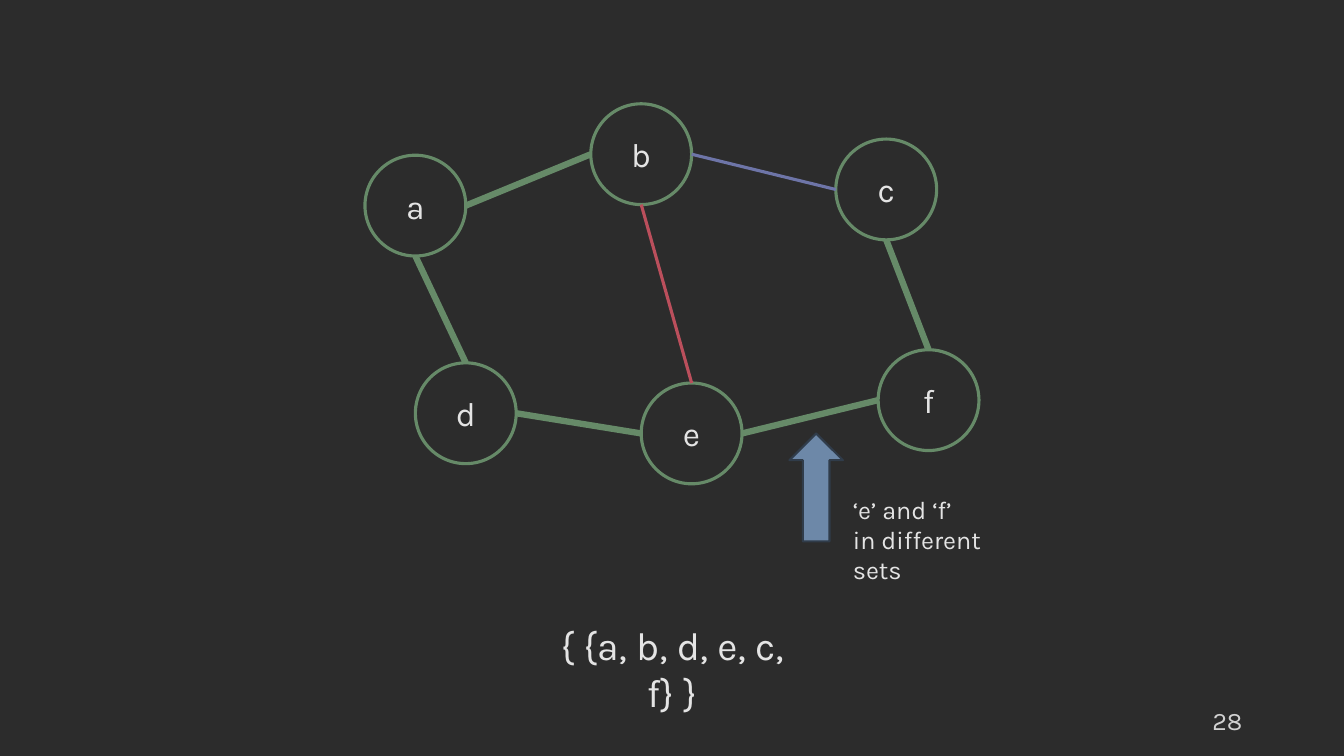
from dataclasses import dataclass

from lxml.etree import SubElement
from pptx import Presentation
from pptx.dml.color import RGBColor
from pptx.enum.shapes import MSO_CONNECTOR, MSO_SHAPE
from pptx.enum.text import MSO_ANCHOR, PP_ALIGN
from pptx.oxml.ns import qn
from pptx.util import Inches, Pt


@dataclass(frozen=True)
class Theme:
    background: str = "2C2C2C"
    text: str = "E4E4E4"
    muted: str = "D1D1D1"
    green: str = "668A68"
    violet: str = "6E75A8"
    red: str = "BB4F5C"
    arrow: str = "6D88A8"
    arrow_edge: str = "303C4A"
    font: str = "Karla"
    small: int = 18
    node: int = 24
    large: int = 28
    thin: float = 2.25
    thick: float = 4.5


THEME = Theme()
WIDTH, HEIGHT = 13.33, 7.5
DIAMETER = 1

# Top-left corner of each node, relative to the graph's box
NODES = {"a": (0, 0.51), "b": (2.24, 0), "c": (4.67, 0.35),
         "d": (0.5, 2.57), "e": (2.74, 2.77), "f": (5.09, 2.44)}

# Where an edge meets a node, as shares of its diameter
TOP, LEFT, BOTTOM, RIGHT = (0.5, 0), (0, 0.5), (0.5, 1), (1, 0.5)

TREE = (THEME.green, THEME.thick)
EDGES = [("a", BOTTOM, "d", TOP, TREE),
         ("a", RIGHT, "b", LEFT, TREE),
         ("d", RIGHT, "e", LEFT, TREE),
         ("c", BOTTOM, "f", TOP, TREE),
         ("b", RIGHT, "c", LEFT, (THEME.violet, THEME.thin)),
         ("e", RIGHT, "f", LEFT, TREE),
         ("b", BOTTOM, "e", TOP, (THEME.red, THEME.thin))]


def rgb(color):
    return RGBColor.from_string(color)


def set_line(sp, color, width):
    sp.line.color.rgb = rgb(color)
    sp.line.width = Pt(width)


def write(tf, text, size, color=THEME.text, align=PP_ALIGN.LEFT,
          anchor=MSO_ANCHOR.TOP):
    tf.text = text
    tf.word_wrap = True
    tf.vertical_anchor = anchor
    for p in tf.paragraphs:
        p.alignment = align
        for r in p.runs:
            r.font.name = THEME.font
            r.font.size = Pt(size)
            r.font.color.rgb = rgb(color)


def add_text(s, box, text, size, **style):
    write(s.shapes.add_textbox(*map(Inches, box)).text_frame,
          text, size, **style)


def add_node(s, x, y, name):
    sp = s.shapes.add_shape(MSO_SHAPE.OVAL,
                            *map(Inches, (x, y, DIAMETER, DIAMETER)))
    sp.shadow.inherit = False
    sp.fill.background()
    set_line(sp, THEME.green, THEME.thin)
    write(sp.text_frame, name, THEME.node,
          align=PP_ALIGN.CENTER, anchor=MSO_ANCHOR.MIDDLE)


def add_edge(s, start, end, color, width):
    line = s.shapes.add_connector(MSO_CONNECTOR.STRAIGHT,
                                  *map(Inches, (*start, *end)))
    set_line(line, color, width)
    SubElement(line._element.spPr, qn("a:effectLst"))


def add_graph(s, left, top):
    def site(name, side):
        return tuple(origin + offset + share * DIAMETER for origin, offset, share
                     in zip((left, top), NODES[name], side))

    for name in NODES:
        add_node(s, *site(name, (0, 0)), name)
    for first, first_side, second, second_side, style in EDGES:
        add_edge(s, site(first, first_side), site(second, second_side), *style)


def add_callout(s, left, top):
    """Arrow pointing up at an edge, with its explanation to the right."""
    width, height = 0.53, 1.07
    arrow = s.shapes.add_shape(MSO_SHAPE.DOWN_ARROW,
                               *map(Inches, (left, top, width, height)))
    arrow.rotation = 180
    arrow.shadow.inherit = False
    arrow.fill.solid()
    arrow.fill.fore_color.rgb = rgb(THEME.arrow)
    set_line(arrow, THEME.arrow_edge, 1.5)
    add_text(s, (left + width, top + 0.55, 1.88, 0.71),
             "‘e’ and ‘f’\nin different sets", THEME.small)


def main():
    prs = Presentation()
    prs.slide_width, prs.slide_height = Inches(WIDTH), Inches(HEIGHT)
    s = prs.slides.add_slide(prs.slide_layouts[6])
    s.background.fill.solid()
    s.background.fill.fore_color.rgb = rgb(THEME.background)

    add_graph(s, 3.62, 1.03)
    add_callout(s, 7.83, 4.3)
    sets_width = 2.94
    add_text(s, ((WIDTH - sets_width) / 2, 6.11, sets_width, 0.57),
             "{ {a, b, d, e, c, f} }", THEME.large, align=PP_ALIGN.CENTER)
    add_text(s, (9.42, 6.95, 3, 0.4), "28", THEME.small, color=THEME.muted,
             align=PP_ALIGN.RIGHT, anchor=MSO_ANCHOR.MIDDLE)
    prs.save("out.pptx")


if __name__ == "__main__":
    main()
